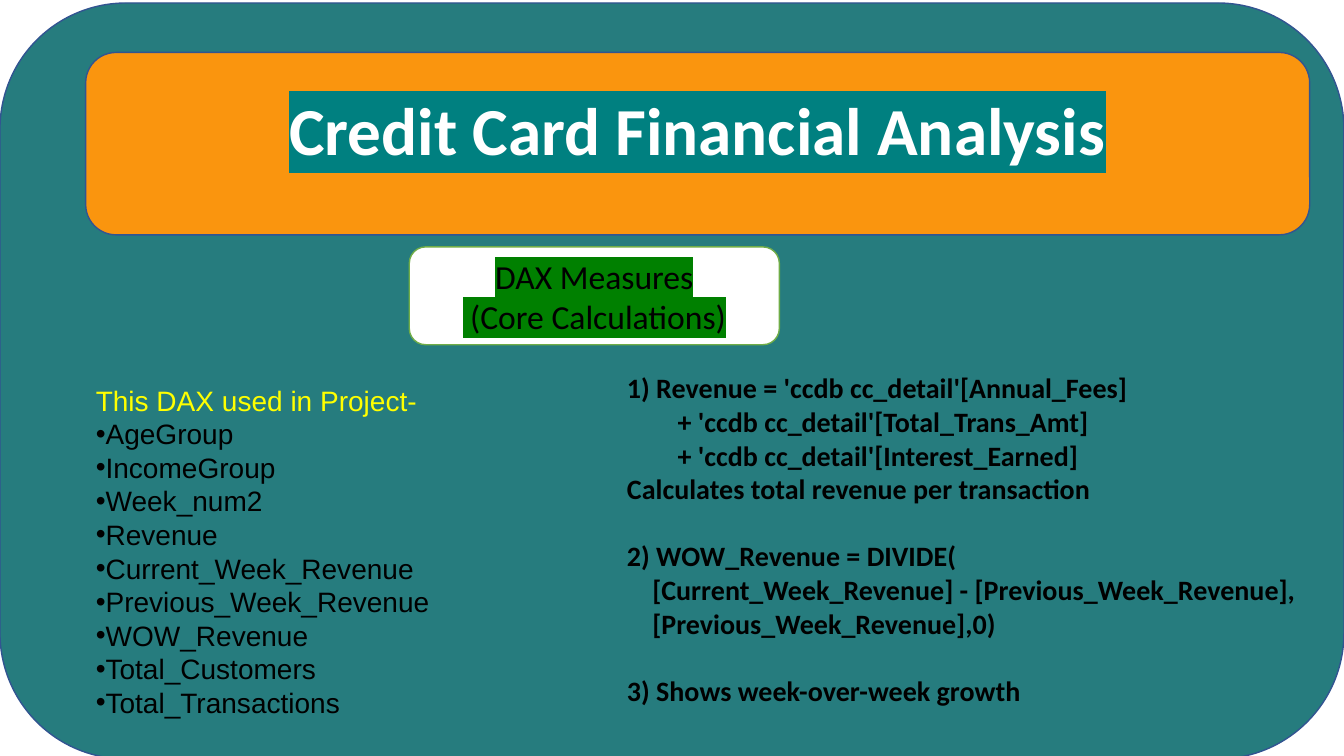
from lxml import etree
from pptx import Presentation
from pptx.dml.color import RGBColor
from pptx.enum.shapes import MSO_SHAPE
from pptx.enum.text import MSO_ANCHOR, MSO_AUTO_SIZE, PP_ALIGN
from pptx.oxml.ns import qn
from pptx.util import Inches, Pt

TEAL = RGBColor(0x26, 0x7C, 0x7E)
ORANGE = RGBColor(0xFA, 0x95, 0x0E)
NAVY = RGBColor(0x32, 0x54, 0x91)
LEAF = RGBColor(0x70, 0xAD, 0x47)
WHITE = RGBColor(0xFF, 0xFF, 0xFF)
BLACK = RGBColor(0x00, 0x00, 0x00)
YELLOW = RGBColor(0xFF, 0xFF, 0x00)
MARK_TEAL = RGBColor(0x00, 0x80, 0x80)
MARK_GREEN = RGBColor(0x00, 0x80, 0x00)

BANNER = (0.85, 0.52, 12.14, 1.81)
LIST_HEADING = "This DAX used in Project-"
MEASURES = [
    "AgeGroup", "IncomeGroup", "Week_num2", "Revenue",
    "Current_Week_Revenue", "Previous_Week_Revenue", "WOW_Revenue",
    "Total_Customers", "Total_Transactions",
]
FORMULA_GROUPS = [
    [
        "1) Revenue = 'ccdb cc_detail'[Annual_Fees]",
        "        + 'ccdb cc_detail'[Total_Trans_Amt]",
        "        + 'ccdb cc_detail'[Interest_Earned]",
        "Calculates total revenue per transaction",
    ],
    [
        "2) WOW_Revenue = DIVIDE(",
        "    [Current_Week_Revenue] - [Previous_Week_Revenue],",
        "    [Previous_Week_Revenue],0)",
    ],
    ["3) Shows week-over-week growth"],
]


def place(sp, box):
    sp.left, sp.top, sp.width, sp.height = (Inches(v) for v in box)


def bring_to_front(sp):
    sp.element.getparent().append(sp.element)


def add_panel(s, box, fill, line):
    sp = s.shapes.add_shape(MSO_SHAPE.ROUNDED_RECTANGLE, *(Inches(v) for v in box))
    sp.shadow.inherit = False
    sp.fill.solid()
    sp.fill.fore_color.rgb = fill
    sp.line.color.rgb = line
    sp.line.width = Pt(1)
    return sp


def set_text(p, text, size, color, font="Calibri", bold=False, mark=None):
    p.text = text
    r = p.runs[0]
    r.font.size = Pt(size)
    r.font.name = font
    r.font.bold = bold
    r.font.color.rgb = color
    if mark is not None:
        highlight = etree.Element(qn("a:highlight"))
        etree.SubElement(highlight, qn("a:srgbClr"), val=str(mark))
        r.font.fill
        r.font._element.find(qn("a:solidFill")).addnext(highlight)


def set_bullet(p, char=None):
    pPr = p._p.get_or_add_pPr()
    pPr.set("marL", "0")
    pPr.set("indent", "0")
    if char:
        etree.SubElement(pPr, qn("a:buChar"), char=char)
    else:
        etree.SubElement(pPr, qn("a:buNone"))


def paragraph_at(tf, index):
    return tf.paragraphs[0] if index == 0 else tf.add_paragraph()


def fill_title(s):
    title = s.shapes.title
    place(title, BANNER)
    bring_to_front(title)
    tf = title.text_frame
    tf.auto_size = MSO_AUTO_SIZE.NONE
    tf.vertical_anchor = MSO_ANCHOR.MIDDLE
    tf.margin_bottom = Inches(0.35)
    p = tf.paragraphs[0]
    p.alignment = PP_ALIGN.CENTER
    set_text(p, "Credit Card Financial Analysis", 48, WHITE, bold=True, mark=MARK_TEAL)


def add_section_label(s):
    sp = add_panel(s, (4.06, 2.45, 3.67, 0.97), WHITE, LEAF)
    tf = sp.text_frame
    tf.vertical_anchor = MSO_ANCHOR.MIDDLE
    for i, text in enumerate(["DAX Measures", " (Core Calculations)"]):
        p = paragraph_at(tf, i)
        p.alignment = PP_ALIGN.CENTER
        set_text(p, text, 24, BLACK, mark=MARK_GREEN)


def add_formulas(s):
    sp = s.shapes.add_textbox(Inches(6.12), Inches(3.63), Inches(7.21), Inches(3.47))
    tf = sp.text_frame
    tf.word_wrap = True
    for g, group in enumerate(FORMULA_GROUPS):
        for i, text in enumerate(group):
            p = paragraph_at(tf, g + i)
            if g > 0 and i == 0:
                p.space_before = Pt(24)
            set_text(p, text, 20, BLACK, bold=True)


def fill_measure_list(s):
    body = s.placeholders[1]
    place(body, (0.85, 3.75, 4.03, 3.77))
    bring_to_front(body)
    tf = body.text_frame
    tf.auto_size = MSO_AUTO_SIZE.NONE
    for i, text in enumerate([LIST_HEADING] + MEASURES):
        p = paragraph_at(tf, i)
        set_bullet(p, "•" if i else None)
        p.space_before = Pt(0)
        p.line_spacing = Pt(24)
        set_text(p, text, 20, BLACK if i else YELLOW, font="Arial")


def main():
    prs = Presentation()
    prs.slide_width, prs.slide_height = Inches(13.33), Inches(7.5)
    s = prs.slides.add_slide(prs.slide_layouts[1])
    add_panel(s, (0, 0.03, 13.33, 7.5), TEAL, NAVY)
    add_panel(s, BANNER, ORANGE, NAVY)
    fill_title(s)
    add_section_label(s)
    add_formulas(s)
    fill_measure_list(s)
    prs.save("out.pptx")


if __name__ == "__main__":
    main()
